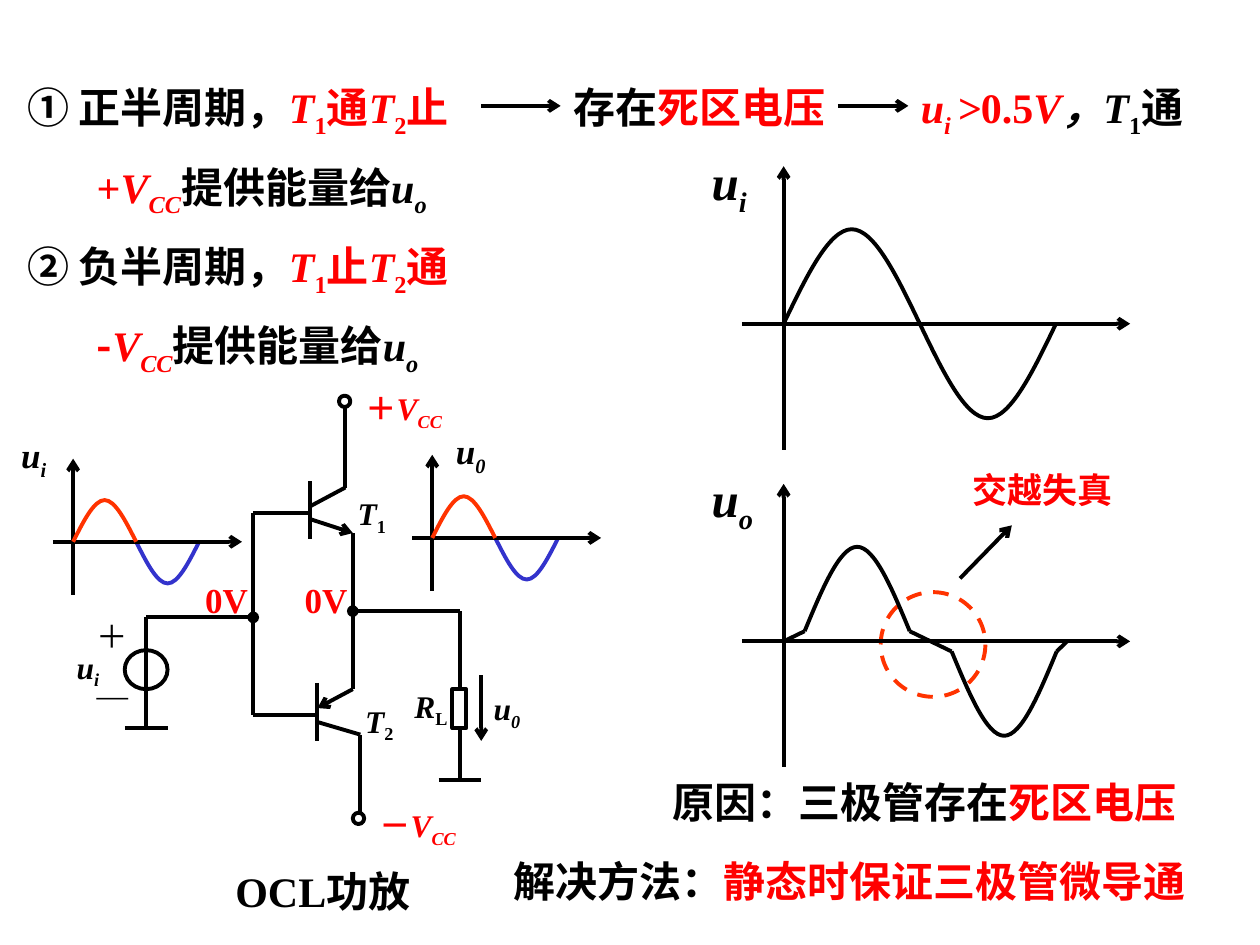
from lxml.etree import SubElement
from pptx import Presentation
from pptx.dml.color import RGBColor
from pptx.enum.dml import MSO_LINE
from pptx.enum.shapes import MSO_CONNECTOR, MSO_SHAPE
from pptx.enum.text import MSO_AUTO_SIZE
from pptx.oxml.ns import qn
from pptx.util import Pt

BLACK, RED, ORANGE, BLUE, WHITE = "000000", "FF0000", "FF3300", "3333CC", "FFFFFF"
LATIN, CHINESE = "Times New Roman", "Noto Sans CJK SC"


def color(hex_code):
    return RGBColor.from_string(hex_code)


class Board:
    """Holds the drawing style and the slide being drawn on."""

    stroke = 2.25

    def __init__(self, slide):
        self.slide = slide
        self.shapes = slide.shapes

    def pen(self, line, ink):
        line.color.rgb = color(ink)
        line.width = Pt(self.stroke)

    def line(self, x1, y1, x2, y2, head=None, tail=None):
        wire = self.shapes.add_connector(
            MSO_CONNECTOR.STRAIGHT, Pt(x1), Pt(y1), Pt(x2), Pt(y2))
        self.pen(wire.line, BLACK)
        outline = wire.line._get_or_add_ln()
        for tag, kind in (("a:headEnd", head), ("a:tailEnd", tail)):
            if kind:
                SubElement(outline, qn(tag), type=kind)
        SubElement(wire._element.spPr, qn("a:effectLst"))

    def outline(self, kind, x, y, w, h, ink=BLACK, dash=None):
        part = self.shapes.add_shape(kind, Pt(x), Pt(y), Pt(w), Pt(h))
        part.shadow.inherit = False
        part.fill.solid()
        part.fill.fore_color.rgb = color(WHITE)
        self.pen(part.line, ink)
        part.line.dash_style = dash

    def half_wave(self, x, y, width, rise, ink=BLACK):
        """Arch from (x, y); a negative rise hangs below the axis."""
        heights = (0.5, 1, 1, 1, 0.5, 0)
        points = [(Pt(x + width * step / 6), Pt(y - rise * part))
                  for step, part in enumerate(heights, 1)]
        builder = self.shapes.build_freeform(Pt(x), Pt(y))
        builder.add_line_segments(points, close=False)
        arch = builder.convert_to_shape()
        # Turn each three straight steps into one Bezier curve
        steps = list(arch._element.iter(qn("a:lnTo")))
        for first in range(0, len(steps), 3):
            curve = SubElement(steps[first].getparent(), qn("a:cubicBezTo"))
            for step in steps[first:first + 3]:
                curve.append(step[0])
                step.getparent().remove(step)
        arch.shadow.inherit = False
        arch.fill.background()
        self.pen(arch.line, ink)

    def axes(self, x, y, left, right, up, down):
        self.line(x - left, y, x + right, y, tail="arrow")
        self.line(x, y - up, x, y + down, head="arrow")

    def text(self, x, y, w, h, size, *paragraphs, bold=True):
        """Run marks: i italic, _ subscript, r red, n Chinese font throughout."""
        box = self.shapes.add_textbox(Pt(x), Pt(y), Pt(w), Pt(h))
        frame = box.text_frame
        frame.word_wrap = True
        frame.auto_size = MSO_AUTO_SIZE.SHAPE_TO_FIT_TEXT
        for index, runs in enumerate(paragraphs):
            paragraph = frame.add_paragraph() if index else frame.paragraphs[0]
            if index:
                paragraph.space_before = Pt(round(size * 0.625, 1))
            for words, marks in runs:
                run = paragraph.add_run()
                run.text = words
                look = {"size": Pt(size), "bold": bold, "italic": "i" in marks,
                        "name": CHINESE if "n" in marks else LATIN}
                for key, value in look.items():
                    setattr(run.font, key, value)
                run.font.color.rgb = color(RED if "r" in marks else BLACK)
                properties = run._r.get_or_add_rPr()
                SubElement(properties, qn("a:ea"), typeface=CHINESE)
                if "_" in marks:
                    properties.set("baseline", "-25000")


def draw_circuit(board):
    # Source, transistors, wires and terminals
    board.outline(MSO_SHAPE.OVAL, 71.3, 371.5, 24.5, 22.3)
    for wire in (
        (197.3, 230.4, 197.3, 278.6), (197.3, 278.6, 177.1, 289.4),
        (177.1, 275, 177.1, 308.2), (177.1, 296.6, 201.6, 304.6, None, "arrow"),
        (201.6, 349.2, 201.6, 393.8), (201.6, 393.8, 181.4, 404.6, None, "arrow"),
        (181.4, 390.2, 181.4, 423.4), (181.4, 412.6, 205.9, 419.8),
        (205.9, 419.8, 205.9, 464.4),
        (177.1, 293, 144.7, 293), (181.4, 408.5, 144.7, 408.5),
        (144.7, 293, 144.7, 408.5), (144.7, 352.8, 83.5, 352.8, "oval"),
        (83.5, 352.8, 83.5, 416.2), (71.3, 416.2, 95.8, 416.2),
        (201.6, 349.2, 262.8, 349.2, "oval"), (262.8, 349.2, 262.8, 445.7),
        (250.6, 445.7, 275, 445.7), (201.6, 304.6, 201.6, 349.2),
        (275, 385.9, 275, 423.4, None, "arrow"),
    ):
        board.line(*wire)
    for x, y in ((193.7, 226.1), (201.6, 464.4)):
        board.outline(MSO_SHAPE.OVAL, x, y, 6.5, 6.5)
    board.outline(MSO_SHAPE.RECTANGLE, 258.5, 393.8, 7.9, 22.3)

    # Circuit labels
    board.text(48.2, 349.2, 41, 61.9, 18, [("＋", "")], [("—", "")], bold=False)
    for x, y, w, runs in (
        (36.7, 366.5, 49, [("u", "i"), ("i", "i_")]),
        (197.3, 278.6, 36.7, [("T", "i"), ("1", "_")]),
        (201.6, 397.4, 36.7, [("T", "i"), ("2", "_")]),
        (201.6, 218.9, 73.4, [("＋", "r"), ("V", "ir"), ("CC", "ir_")]),
        (209.5, 457.2, 73.4, [("－", "r"), ("V", "ir"), ("CC", "ir_")]),
        (229.7, 388.8, 36.7, [("R", "i"), ("L", "_")]),
        (275, 390.2, 49, [("u", "i"), ("0", "i_")]),
    ):
        board.text(x, y, w, 31.7, 18, runs)
    board.text(127.4, 491, 153.4, 36, 24, [("OCL功放", "")])
    for x in (110.2, 167):
        board.text(x, 326.9, 62.6, 31.7, 20, [("0V", "r")])


def draw_waves(board):
    # Small input and output waves beside the circuit
    for x, y, label_x, label_y, index in (
            (41.8, 309.6, 5, 244.1, "i"), (247, 307.4, 253.4, 241.9, "0")):
        board.half_wave(x + 36, y, 36, -23.8, BLUE)
        board.axes(x, y, 11.5, 96.5, 47.5, 30.2)
        board.half_wave(x, y, 36, 23.8, ORANGE)
        board.text(label_x, label_y, 72, 34.6, 20, [("u", "i"), (index, "i_")])

    # Large plots: clean input above, crossover distortion below
    board.outline(MSO_SHAPE.OVAL, 503.3, 338.4, 59.8, 59.8, ORANGE, MSO_LINE.DASH)
    x, input_y, output_y = 447.8, 185, 366.5
    for y, index in ((input_y, "i"), (output_y, "o")):
        board.axes(x, y, 23.8, 198, 90, 72)
        board.text(399.6, y - 102.2, 72, 45.4, 28, [("u", "i"), (index, "i_")])
    board.half_wave(x, input_y, 77.8, 54)
    board.half_wave(x + 77.8, input_y, 77.8, -54)

    dead = 5.8
    board.line(x, output_y, x + 12, output_y)
    board.line(x, output_y, x + 12, output_y - dead)
    board.half_wave(x + 12, output_y - dead, 60, 48.2)
    board.line(x + 72, output_y - dead, x + 96, output_y + dead)
    board.half_wave(x + 96, output_y + dead, 60, -48.2)
    board.line(x + 156, output_y + dead, x + 162, output_y)

    board.line(548.6, 330.5, 578.2, 300.2, tail="arrow")
    board.text(548.6, 264.2, 113.8, 31.7, 20, [("交越失真", "r")])


def draw_statements(board):
    # The two half cycles, each with the supply that feeds the output
    for y, lead, first, second, sign, sign_marks in (
            (43.2, "① 正半周期，", "通", "止", "+", "r"),
            (133.9, "② 负半周期，", "止", "通", "-", "rn")):
        board.text(8.6, y, 351.4, 40.3, 24, [
            (lead, "n"), ("T", "ir"), ("1", "r_"), (first, "rn"),
            ("T", "ir"), ("2", "r_"), (second, "rn")])
        board.text(48.2, y + 45.4, 244.1, 40.3, 24, [
            (sign, sign_marks), ("V", "ir"), ("CC", "ir_"),
            ("提供能量给", ""), ("u", "i"), ("o", "i_")])

    # Consequence chain
    board.line(275, 60.5, 320.4, 60.5, tail="arrow")
    board.text(320.4, 43.2, 204.5, 36, 24, [("存在", ""), ("死区电压", "r")])
    board.line(478.8, 60.5, 519.1, 60.5, tail="arrow")
    board.text(519.1, 43.2, 209.5, 40.3, 24, [
        ("u", "ir"), ("i ", "ir_"), (">", "ir"), ("0.5", "r"), ("V", "ir"),
        ("，T", "i"), ("1", "_"), ("通", "")])

    # Cause and remedy
    board.text(377.3, 439.9, 317.5, 36, 24,
               [("原因：三极管存在", ""), ("死区电压", "r")])
    board.text(286.6, 485.3, 419.8, 36, 24,
               [("解决方法：", ""), ("静态时保证三极管微导通", "r")])


def main():
    deck = Presentation()
    deck.slide_width, deck.slide_height = Pt(720), Pt(540)
    board = Board(deck.slides.add_slide(deck.slide_layouts[6]))
    draw_circuit(board)
    draw_waves(board)
    draw_statements(board)
    deck.save("out.pptx")


if __name__ == "__main__":
    main()
